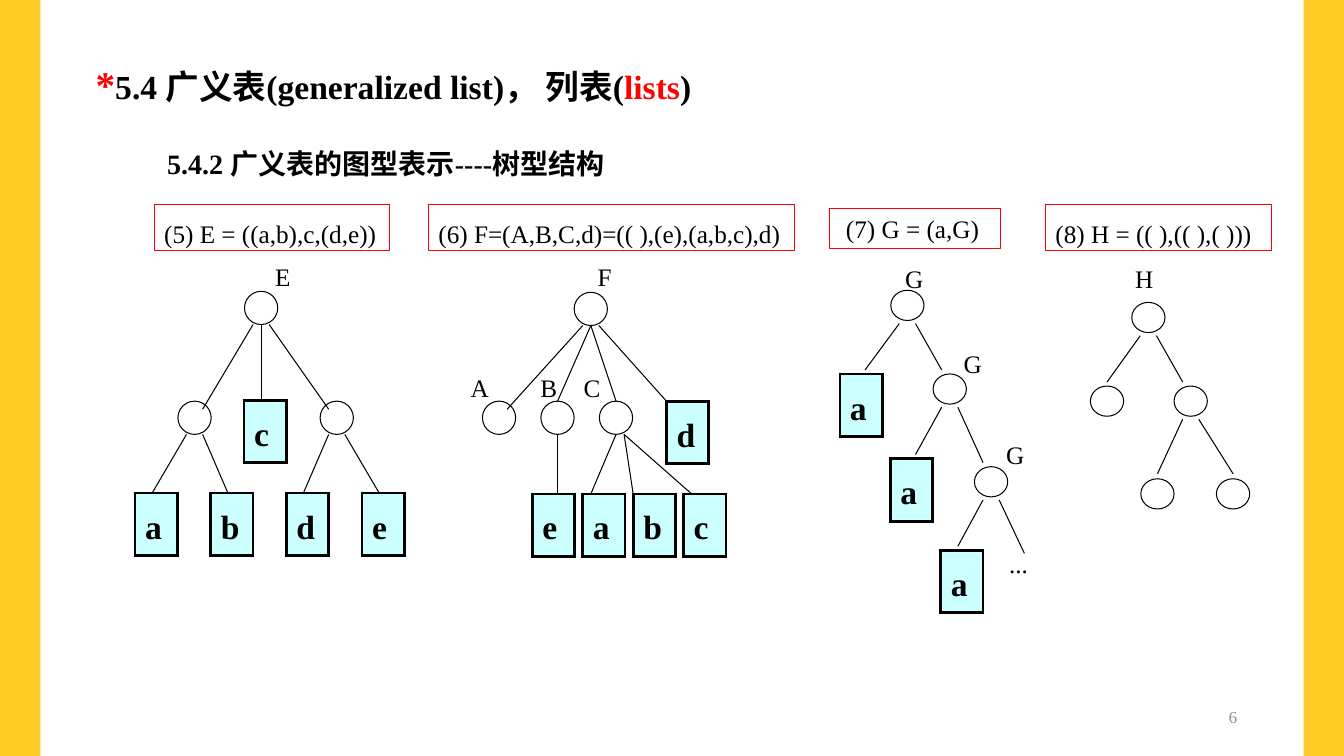
from lxml import etree
from pptx import Presentation
from pptx.dml.color import RGBColor
from pptx.enum.shapes import MSO_CONNECTOR, MSO_SHAPE
from pptx.enum.text import MSO_ANCHOR, PP_ALIGN
from pptx.oxml.ns import qn
from pptx.util import Inches, Pt

RECTANGLE, OVAL = MSO_SHAPE.RECTANGLE, MSO_SHAPE.OVAL
STRAIGHT = MSO_CONNECTOR.STRAIGHT
LEFT, RIGHT = PP_ALIGN.LEFT, PP_ALIGN.RIGHT
TOP, MIDDLE = MSO_ANCHOR.TOP, MSO_ANCHOR.MIDDLE
BLACK = RGBColor(0x00, 0x00, 0x00)
RED = RGBColor(0xFF, 0x00, 0x00)
YELLOW = RGBColor(0xFF, 0xC9, 0x26)
CYAN = RGBColor(0xCC, 0xFF, 0xFF)
GREY = RGBColor(0x8E, 0x8E, 0x8E)
FONT = "Times New Roman"
WIDTH, HEIGHT, BAND = 13.33, 7.5, 0.4

# Content: a text is a list of (words, size, colour)
TITLE = [("*", 28, RED), ("5.4 广义表(generalized list)， 列表(", 24, BLACK),
         ("lists", 24, RED), (")", 24, BLACK)]
SUBTITLE = "5.4.2 广义表的图型表示----树型结构"
PAGE = "6"

# Formula, box, left inset, line spacing
FORMULAS = [
    ("(5) E = ((a,b),c,(d,e))", (1.53, 2.03, 2.33, 0.46), 0.1, 1.3),
    ("(6) F=(A,B,C,d)=(( ),(e),(a,b,c),d)", (4.25, 2.03, 3.63, 0.46), 0.1, 1.3),
    ("(7) G = (a,G)", (8.23, 2.07, 1.69, 0.4), 0.16, 1.0),
    ("(8) H = (( ),(( ),( )))", (10.37, 2.03, 2.24, 0.46), 0.1, 1.3),
]

# Label, left, top
LABELS = [("E", 2.63, 2.45), ("F", 5.83, 2.45), ("A", 4.57, 3.55),
          ("B", 5.26, 3.55), ("C", 5.69, 3.55), ("G", 8.88, 2.47),
          ("G", 9.46, 3.32), ("G", 9.88, 4.22), ("H", 11.16, 2.47)]
ELLIPSIS, ELLIPSIS_BOX = "...", (9.91, 5.3, 0.62, 0.46)

# circles and leaves: key -> (middle, top); a leaf shows its key's first letter
# edges: parent, child, shift at parent, shift at child, depth below child's top
SHIFT = 0.08
TREES = [
    {"circle_height": 0.33, "gap": 0,
     "circles": {"E": (2.59, 2.89), "ab": (1.93, 3.98), "de": (3.34, 3.98)},
     "leaves": {"a": (1.51, 4.89), "b": (2.26, 4.89), "c": (2.59, 3.97),
                "d": (3.01, 4.89), "e": (3.76, 4.89)},
     "edges": [("E", "ab", -SHIFT, SHIFT, SHIFT), ("E", "c", 0, 0, 0),
               ("E", "de", SHIFT, -SHIFT, SHIFT),
               ("ab", "a", -SHIFT, 0, 0), ("ab", "b", SHIFT, 0, 0),
               ("de", "d", -SHIFT, 0, 0), ("de", "e", SHIFT, 0, 0)]},
    {"circle_height": 0.33, "gap": 0,
     "circles": {"F": (5.86, 2.9), "A": (4.95, 3.98), "B": (5.53, 3.98),
                 "C": (6.11, 3.98)},
     "leaves": {"e": (5.45, 4.9), "a": (5.95, 4.9), "b": (6.45, 4.9),
                "c": (6.95, 4.9), "d": (6.78, 3.98)},
     "edges": [("F", "A", -SHIFT, SHIFT, SHIFT), ("F", "B", 0, 0, 0),
               ("F", "C", 0, 0, 0), ("F", "d", SHIFT, -0.17, 0),
               ("B", "e", 0, SHIFT, 0), ("C", "a", 0, -0.09, 0),
               ("C", "b", SHIFT, -0.17, 0), ("C", "c", SHIFT, -0.09, 0)]},
    {"circle_height": 0.3, "gap": 0.03,
     "circles": {"G1": (9, 2.88), "G2": (9.42, 3.71), "G3": (9.83, 4.63)},
     "leaves": {"a1": (8.5, 3.71), "a2": (9, 4.55), "a3": (9.5, 5.46)},
     "ends": {ELLIPSIS: (10.16, 5.53)},
     "edges": [("G1", "a1", -SHIFT, SHIFT, -0.04),
               ("G1", "G2", SHIFT, -SHIFT, -0.04),
               ("G2", "a2", -SHIFT, SHIFT, -0.04),
               ("G2", "G3", SHIFT, -SHIFT, -0.04),
               ("G3", "a3", -SHIFT, 0, -0.04),
               ("G3", ELLIPSIS, SHIFT, 0, -0.04)]},
    {"circle_height": 0.3, "gap": 0.03,
     "circles": {"H": (11.39, 3), "left": (10.98, 3.83), "right": (11.81, 3.83),
                 "inner left": (11.48, 4.75), "inner right": (12.23, 4.75)},
     "leaves": {},
     "edges": [("H", "left", -SHIFT, 0, -0.04),
               ("H", "right", SHIFT, -SHIFT, -0.04),
               ("right", "inner left", -SHIFT, 0, -0.05),
               ("right", "inner right", SHIFT, 0, -0.05)]},
]
CIRCLE_WIDTH = 0.33
LEAF_WIDTH, LEAF_HEIGHT, LEAF_ANCHOR = 0.42, 0.57, 0.17

presentation = Presentation()
presentation.slide_width, presentation.slide_height = Inches(WIDTH), Inches(HEIGHT)
slide = presentation.slides.add_slide(presentation.slide_layouts[6])
shapes = slide.shapes


def inches(*lengths):
    return [Inches(length) for length in lengths]


def write(frame, text, size=18, color=BLACK, bold=False, align=LEFT,
          spacing=1.3, anchor=TOP, wrap=False, inset=0.1):
    """Fill a text frame with a string or a list of (words, size, colour)."""
    runs = [(text, size, color)] if isinstance(text, str) else text
    frame.word_wrap = wrap
    frame.vertical_anchor = anchor
    frame.margin_left = Inches(inset)
    paragraph = frame.paragraphs[0]
    paragraph.alignment = align
    paragraph.line_spacing = spacing
    for words, run_size, run_color in runs:
        run = paragraph.add_run()
        run.text = words
        run.font.name = FONT
        run.font.size = Pt(run_size)
        run.font.bold = bold
        run.font.color.rgb = run_color


def add_text(box, text, **form):
    write(shapes.add_textbox(*inches(*box)).text_frame, text, **form)


def add_outline(kind, box, fill=None, line=None):
    shape = shapes.add_shape(kind, *inches(*box))
    shape.shadow.inherit = False
    if fill is None:
        shape.fill.background()
    else:
        shape.fill.solid()
        shape.fill.fore_color.rgb = fill
    if line is None:
        shape.line.fill.background()
    else:
        shape.line.color.rgb = line
        shape.line.width = Pt(0.75)
    return shape


def add_leaf(letter, middle, top):
    table = shapes.add_table(1, 1, *inches(middle - LEAF_ANCHOR, top,
                                           LEAF_WIDTH, LEAF_HEIGHT)).table
    table.first_row = table.horz_banding = False
    cell = table.cell(0, 0)
    properties = cell._tc.get_or_add_tcPr()
    for side in ("a:lnL", "a:lnR", "a:lnT", "a:lnB"):
        border = etree.SubElement(properties, qn(side), w=str(Pt(2.25)))
        fill = etree.SubElement(border, qn("a:solidFill"))
        etree.SubElement(fill, qn("a:srgbClr"), val=str(BLACK))
    cell.fill.solid()
    cell.fill.fore_color.rgb = CYAN
    write(cell.text_frame, letter, size=24, bold=True, wrap=True)


def add_edge(start, end):
    connector = shapes.add_connector(STRAIGHT, *inches(*start, *end))
    connector.line.color.rgb = BLACK
    connector.line.width = Pt(0.75)
    etree.SubElement(connector._element.spPr, qn("a:effectLst"))


# Side bands
for left in (0, WIDTH - BAND):
    add_outline(RECTANGLE, (left, 0, BAND, HEIGHT), fill=YELLOW)

# Headings
add_text((0.85, 0.41, 8.92, 0.65), TITLE, bold=True, wrap=True)
add_text((1.56, 1.3, 4.99, 0.5), SUBTITLE, size=20, bold=True, wrap=True)

# Formulas
for formula, box, inset, spacing in FORMULAS:
    shape = add_outline(RECTANGLE, box, line=RED)
    write(shape.text_frame, formula, inset=inset, spacing=spacing)

# Trees
for tree in TREES:
    nodes = {**tree["circles"], **tree["leaves"], **tree.get("ends", {})}
    for key, (middle, top) in tree["leaves"].items():
        add_leaf(key[0], middle, top)
    for parent, child, parent_shift, child_shift, depth in tree["edges"]:
        (start_x, start_y), (end_x, end_y) = nodes[parent], nodes[child]
        bottom = start_y + tree["circle_height"] + tree["gap"]
        add_edge((start_x + parent_shift, bottom),
                 (end_x + child_shift, end_y + depth))
    for middle, top in tree["circles"].values():
        add_outline(OVAL, (middle - CIRCLE_WIDTH / 2, top, CIRCLE_WIDTH,
                           tree["circle_height"]), line=BLACK)

# Node labels, ellipsis and page number
for label, left, top in LABELS:
    add_text((left, top, 0.38, 0.46), label)
add_text(ELLIPSIS_BOX, ELLIPSIS, wrap=True)
add_text((9.42, 6.94, 2.95, 0.35), PAGE, size=12, color=GREY, align=RIGHT,
         spacing=1.0, anchor=MIDDLE, wrap=True)

presentation.save("out.pptx")
